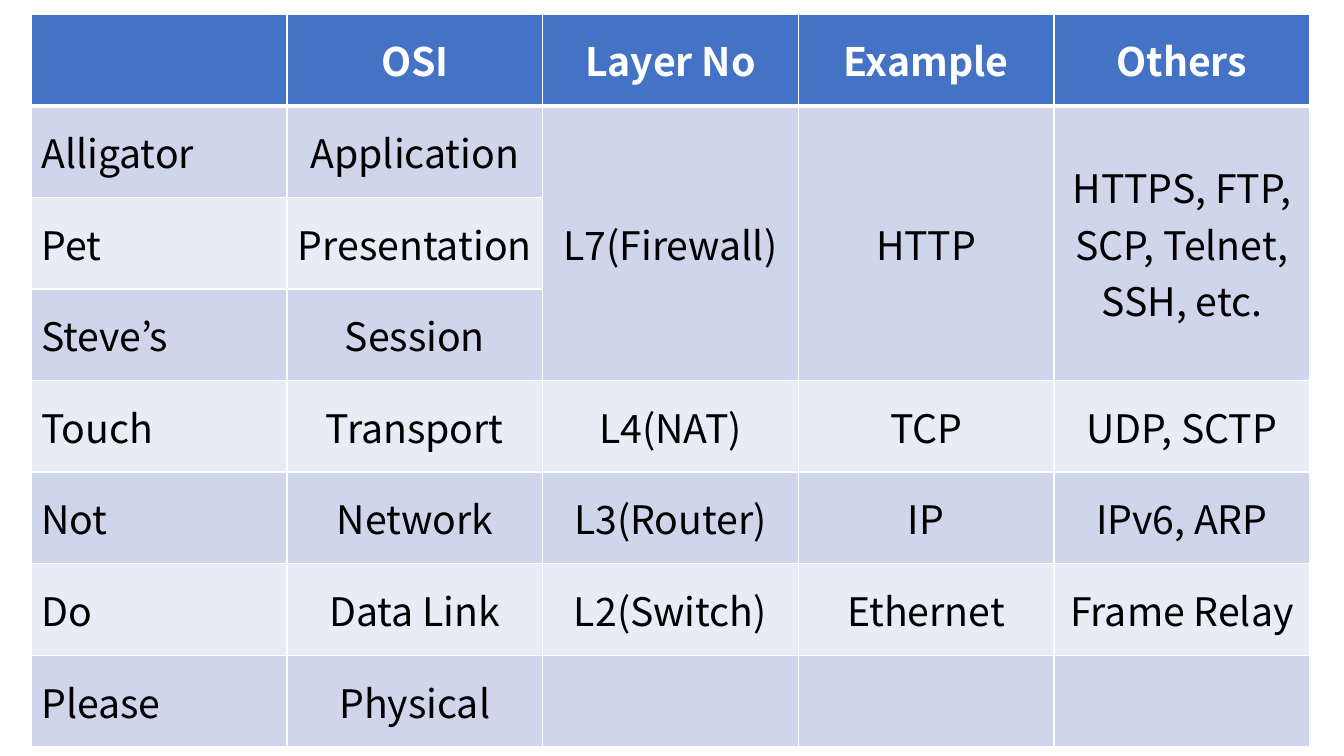
import pptx
import pptx.util
import pptx.dml.color
import pptx.enum.text
import pptx.oxml
import pptx.oxml.ns

Inches, Pt = pptx.util.Inches, pptx.util.Pt
RGB = pptx.dml.color.RGBColor.from_string
PP_ALIGN = pptx.enum.text.PP_ALIGN

COLORS = {"header": "4472C4", "odd": "CFD5EA", "even": "E9EBF5",
          "white": "FFFFFF", "text": "000000"}
FONT = "Noto Sans CJK KR"

LAYERS = [
    ["", "OSI", "Layer No", "Example", "Others"],
    ["Alligator", "Application", "L7(Firewall)", "HTTP",
     "HTTPS, FTP, SCP, Telnet, SSH, etc."],
    ["Pet", "Presentation", "", "", ""],
    ["Steve’s", "Session", "", "", ""],
    ["Touch", "Transport", "L4(NAT)", "TCP", "UDP, SCTP"],
    ["Not", "Network", "L3(Router)", "IP", "IPv6, ARP"],
    ["Do", "Data Link", "L2(Switch)", "Ethernet", "Frame Relay"],
    ["Please", "Physical", "", "", ""],
]


def add_border(cell, side, width):
    line = pptx.oxml.parse_xml(
        f'<a:ln{side} {pptx.oxml.ns.nsdecls("a")} w="{Pt(width)}"><a:solidFill>'
        f'<a:srgbClr val="{COLORS["white"]}"/></a:solidFill></a:ln{side}>')
    cell._tc.get_or_add_tcPr().append(line)


prs = pptx.Presentation()
prs.slide_width, prs.slide_height = Inches(13.33), Inches(7.5)
s = prs.slides.add_slide(prs.slide_layouts[6])

# Table of OSI layers with equal rows and columns
n_rows, n_cols = len(LAYERS), len(LAYERS[0])
table = s.shapes.add_table(n_rows, n_cols, Inches(0.31), Inches(0.14),
                           Inches(12.68), Inches(7.27)).table

# The top three layers share their last three columns
for col in range(2, n_cols):
    table.cell(1, col).merge(table.cell(3, col))

for row, texts in enumerate(LAYERS):
    header = row == 0
    fill = "header" if header else "odd" if row % 2 else "even"
    font = {"name": FONT, "size": Pt(28), "bold": header}
    for col, text in enumerate(texts):
        cell = table.cell(row, col)

        # Borders: the rule under the header is heavier
        widths = {"L": 1, "R": 1, "T": 3 if row == 1 else 1, "B": 3 if header else 1}
        for side, width in widths.items():
            add_border(cell, side, width)
        cell.fill.solid()
        cell.fill.fore_color.rgb = RGB(COLORS[fill])
        cell.vertical_anchor = pptx.enum.text.MSO_ANCHOR.MIDDLE

        # Text: the mnemonic column is left-aligned
        if text:
            p = cell.text_frame.paragraphs[0]
            p.alignment = PP_ALIGN.CENTER if col else PP_ALIGN.LEFT
            r = p.add_run()
            r.text = text
            for name, value in font.items():
                setattr(r.font, name, value)
            r.font.color.rgb = RGB(COLORS["white" if header else "text"])

prs.save("out.pptx")
